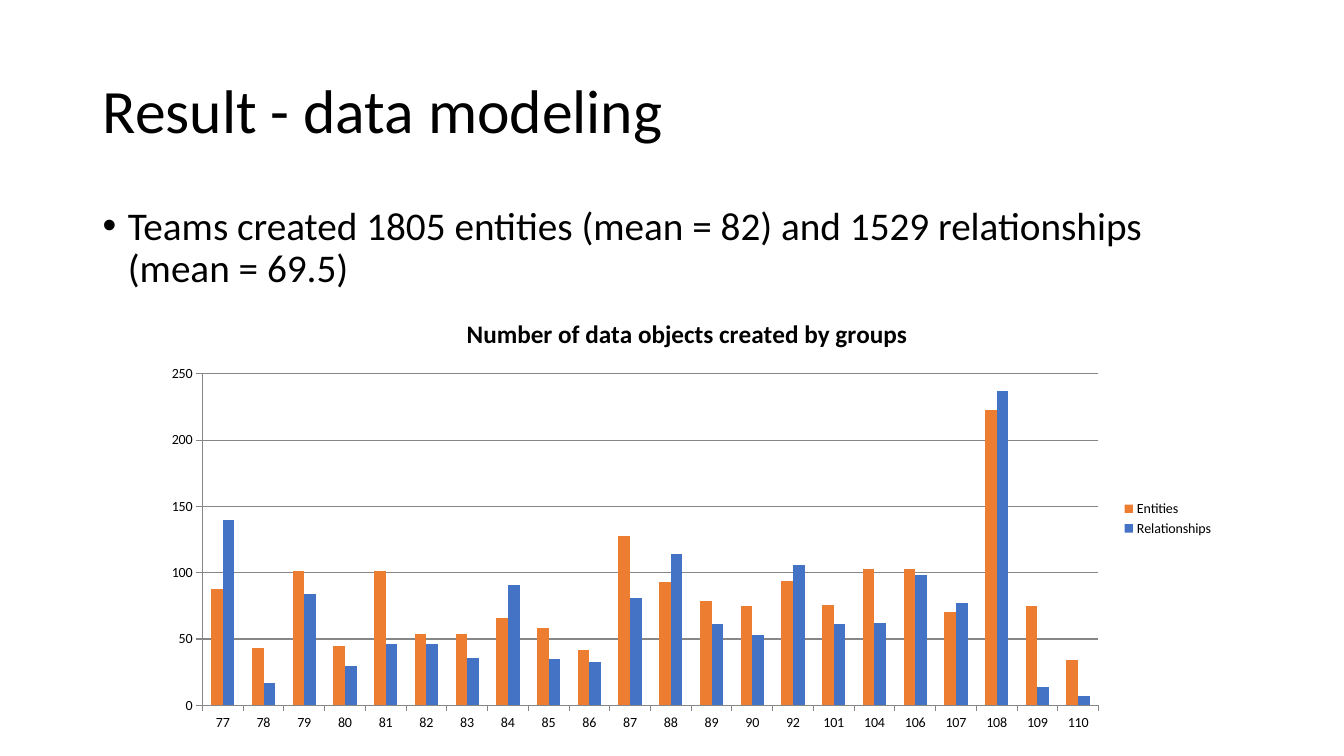
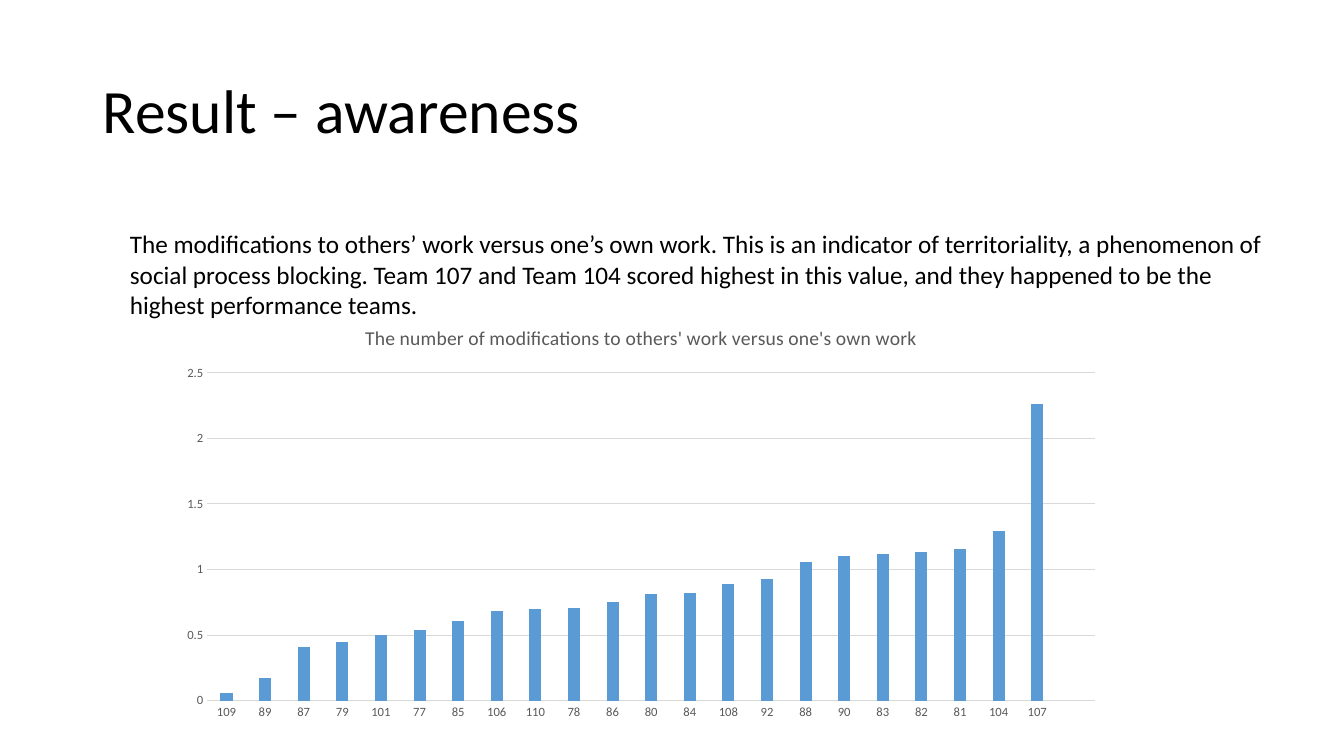
from lxml import etree
from pptx import Presentation
from pptx.chart.data import CategoryChartData
from pptx.dml.color import RGBColor
from pptx.enum.chart import XL_CHART_TYPE as ChartType
from pptx.enum.chart import XL_LEGEND_POSITION as LegendPosition
from pptx.enum.chart import XL_TICK_MARK as TickMark
from pptx.enum.text import MSO_ANCHOR as Anchor
from pptx.oxml.ns import qn
from pptx.util import Inches, Pt

FONT = "Calibri"
BLACK, GREY, AXIS_GREY, PALE_GREY = "000000", "595959", "878787", "D9D9D9"
ORANGE, BLUE, LIGHT_BLUE = "ED7D31", "4472C4", "5B9BD5"
TITLE_BOX = (0.92, 0.4, 11.5, 1.45)

TEAMS = [*range(77, 91), 92, 101, 104, *range(106, 111)]
ENTITIES = [88, 43, 101, 45, 101, 54, 54, 66, 58, 42, 128,
            93, 79, 75, 94, 76, 103, 103, 70, 223, 75, 34]
RELATIONSHIPS = [140, 17, 84, 30, 46, 46, 36, 91, 35, 33, 81,
                 114, 61, 53, 106, 61, 62, 98, 77, 237, 14, 7]

# The last slot of the awareness chart is empty
RANKED_TEAMS = [109, 89, 87, 79, 101, 77, 85, 106, 110, 78, 86, 80,
                84, 108, 92, 88, 90, 83, 82, 81, 104, 107, ""]
RATIOS = [0.06, 0.17, 0.41, 0.45, 0.5, 0.54, 0.61, 0.68, 0.7, 0.71, 0.75, 0.81,
          0.82, 0.89, 0.93, 1.06, 1.1, 1.12, 1.13, 1.16, 1.29, 2.26, None]


def rgb(value):
    return RGBColor.from_string(value)


def style_font(font, size, color=BLACK, bold=False):
    font.name, font.size, font.bold = FONT, Pt(size), bold
    font.color.rgb = rgb(color)


def add_text(slide, box, text, size=18, color=BLACK, anchor=Anchor.TOP,
             line_spacing=None, bullet=None):
    shape = slide.shapes.add_textbox(*map(Inches, box))
    frame = shape.text_frame
    frame.word_wrap = True
    frame.vertical_anchor = anchor
    paragraph = frame.paragraphs[0]
    if line_spacing:
        paragraph.line_spacing = line_spacing
    if bullet:
        properties = paragraph._p.get_or_add_pPr()
        properties.set("marL", str(Inches(0.25)))
        properties.set("indent", str(-Inches(0.25)))
        etree.SubElement(properties, qn("a:buFont")).set("typeface", "Arial")
        etree.SubElement(properties, qn("a:buChar")).set("char", bullet)
    run = paragraph.add_run()
    run.text = text
    style_font(run.font, size, color)


def style_axis(axis, size, color, line, tick, gridlines=None):
    style_font(axis.tick_labels.font, size, color)
    axis.major_tick_mark, axis.minor_tick_mark = tick, TickMark.NONE
    if line:
        axis.format.line.color.rgb = rgb(line)
        axis.format.line.width = Pt(0.75)
    else:
        axis.format.line.fill.background()
    axis.has_major_gridlines = bool(gridlines)
    if gridlines:
        axis.major_gridlines.format.line.color.rgb = rgb(gridlines)
        axis.major_gridlines.format.line.width = Pt(0.75)


def add_column_chart(slide, box, title, categories, series, *, title_size, bold,
                     color, label_size, category_line, value_line, gridlines,
                     tick, gap, overlap, maximum, step, legend=False):
    """Draw clustered columns; series holds (name, values, color) rows."""
    data = CategoryChartData()
    data.categories = [str(category) for category in categories]
    for name, values, _ in series:
        data.add_series(name, values)
    chart = slide.shapes.add_chart(
        ChartType.COLUMN_CLUSTERED, *map(Inches, box), data).chart
    style_font(chart.font, 10)

    # Title and legend
    chart.has_title = True
    frame = chart.chart_title.text_frame
    frame.text = title
    style_font(frame.paragraphs[0].runs[0].font, title_size, color, bold)
    chart.chart_title.include_in_layout = False
    chart.has_legend = legend
    if legend:
        chart.legend.position = LegendPosition.RIGHT
        chart.legend.include_in_layout = False
        style_font(chart.legend.font, 10)

    # Columns
    plot = chart.plots[0]
    plot.vary_by_categories = False
    plot.gap_width, plot.overlap = gap, overlap
    for columns, (_, _, fill) in zip(plot.series, series):
        columns.format.fill.solid()
        columns.format.fill.fore_color.rgb = rgb(fill)
        columns.invert_if_negative = False

    # Axes
    style_axis(chart.category_axis, label_size, color, category_line, tick)
    style_axis(chart.value_axis, label_size, color, value_line, tick, gridlines)
    chart.value_axis.minimum_scale = 0
    chart.value_axis.maximum_scale = maximum
    chart.value_axis.major_unit = step


def add_titled_slide(presentation, title):
    slide = presentation.slides.add_slide(presentation.slide_layouts[6])
    add_text(slide, TITLE_BOX, title, size=44, anchor=Anchor.MIDDLE, line_spacing=0.9)
    return slide


def add_modeling_slide(presentation):
    slide = add_titled_slide(presentation, "Result - data modeling")
    add_text(slide, (0.92, 2, 11.5, 4.76),
             "Teams created 1805 entities (mean = 82) and 1529 relationships "
             "(mean = 69.5)", size=28, line_spacing=0.9, bullet="•")
    add_column_chart(
        slide, (1.49, 2.95, 10.65, 4.39), "Number of data objects created by groups",
        TEAMS, [("Entities", ENTITIES, ORANGE), ("Relationships", RELATIONSHIPS, BLUE)],
        title_size=18, bold=True, color=BLACK, label_size=10,
        category_line=AXIS_GREY, value_line=AXIS_GREY, gridlines=AXIS_GREY,
        tick=TickMark.OUTSIDE, gap=150, overlap=0, maximum=250, step=50, legend=True)


def add_awareness_slide(presentation):
    slide = add_titled_slide(presentation, "Result – awareness")
    add_column_chart(
        slide, (1.67, 3.05, 9.38, 4.17),
        "The number of modifications to others' work versus one's own work",
        RANKED_TEAMS, [("Series 1", RATIOS, LIGHT_BLUE)],
        title_size=14, bold=False, color=GREY, label_size=9,
        category_line=PALE_GREY, value_line=None, gridlines=PALE_GREY,
        tick=TickMark.NONE, gap=219, overlap=-27, maximum=2.5, step=0.5)
    add_text(slide, (1.19, 2.22, 11.53, 1.01),
             "The modifications to others’ work versus one’s own work. This is an "
             "indicator of territoriality, a phenomenon of social process blocking. "
             "Team 107 and Team 104 scored highest in this value, and they happened "
             "to be the highest performance teams.")


def main():
    presentation = Presentation()
    presentation.slide_width = Inches(13.33)
    presentation.slide_height = Inches(7.5)
    add_modeling_slide(presentation)
    add_awareness_slide(presentation)
    presentation.save("out.pptx")


if __name__ == "__main__":
    main()
